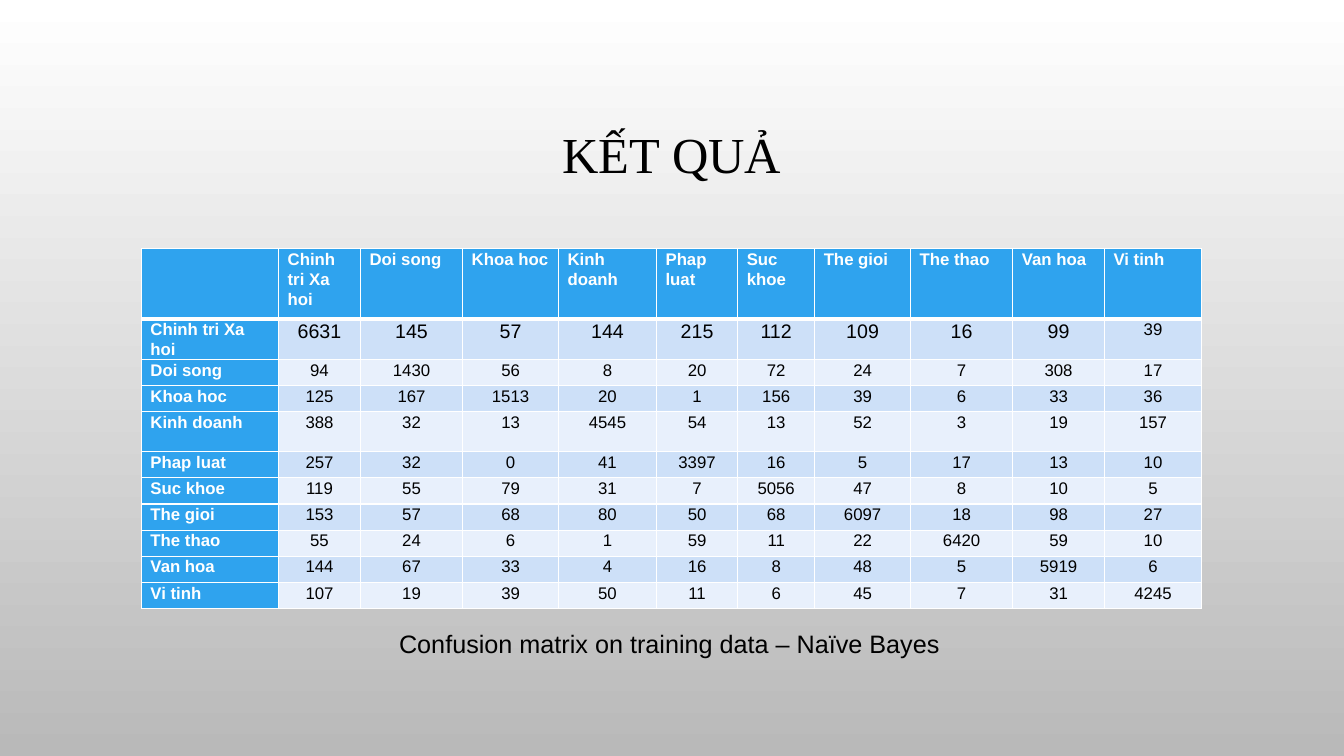
from lxml import etree
from pptx import Presentation
from pptx.dml.color import RGBColor
from pptx.enum import text
from pptx.oxml import ns
from pptx.util import Pt

WHITE, BLACK, BLUE = "FFFFFF", "000000", "2FA3EE"
BANDS = ["CDE0F8", "E8F0FC"]
TOPICS = ["Chinh tri Xa hoi", "Doi song", "Khoa hoc", "Kinh doanh", "Phap luat",
          "Suc khoe", "The gioi", "The thao", "Van hoa", "Vi tinh"]
CONFUSION = [
    [6631, 145, 57, 144, 215, 112, 109, 16, 99, 39],
    [94, 1430, 56, 8, 20, 72, 24, 7, 308, 17],
    [125, 167, 1513, 20, 1, 156, 39, 6, 33, 36],
    [388, 32, 13, 4545, 54, 13, 52, 3, 19, 157],
    [257, 32, 0, 41, 3397, 16, 5, 17, 13, 10],
    [119, 55, 79, 31, 7, 5056, 47, 8, 10, 5],
    [153, 57, 68, 80, 50, 68, 6097, 18, 98, 27],
    [55, 24, 6, 1, 59, 11, 22, 6420, 59, 10],
    [144, 67, 33, 4, 16, 8, 48, 5, 5919, 6],
    [107, 19, 39, 50, 11, 6, 45, 7, 31, 4245],
]
COLUMN_WIDTHS = [98, 58.5, 73, 68.5, 70, 58, 55, 68.5, 73, 65.5, 69.5]
ROW_HEIGHTS = [50.5, 28.5, 18.7, 18.7, 28.5] + [18.7] * 6


def color(value):
    return RGBColor.from_string(value)


def add_run(paragraph, words, size, hue, font="Arial", bold=False):
    run = paragraph.add_run()
    run.text = words
    run.font.size, run.font.name, run.font.bold = Pt(size), font, bold
    run.font.color.rgb = color(hue)


def set_border(cell, side, width):
    line = etree.SubElement(cell._tc.get_or_add_tcPr(), ns.qn(f"a:ln{side}"), w=str(Pt(width)))
    fill = etree.SubElement(line, ns.qn("a:solidFill"))
    etree.SubElement(fill, ns.qn("a:srgbClr"), val=WHITE)


def paint_background(slide):
    fill = slide.background.fill
    fill.gradient()
    fill.gradient_angle = 270
    for stop, position, hue in zip(fill.gradient_stops, (0, 1), (WHITE, "B9B9B9")):
        stop.position, stop.color.rgb = position, color(hue)


def place_title(slide, left, top, width, height):
    title = slide.shapes.title
    title.left, title.top, title.width, title.height = map(Pt, (left, top, width, height))
    title.text_frame.vertical_anchor = text.MSO_ANCHOR.MIDDLE
    paragraph = title.text_frame.paragraphs[0]
    paragraph.alignment = text.PP_ALIGN.CENTER
    paragraph.line_spacing = 0.9
    add_run(paragraph, "KẾT QUẢ", 36, BLACK, "Times New Roman")


def fill_cell(cell, row, column, value):
    is_label = row == 0 or column == 0
    cell.margin_left = cell.margin_right = Pt(6.5)
    cell.margin_top = cell.margin_bottom = 0
    for side in "LRTB":
        edge = (row == 0 and side == "B") or (row == 1 and side == "T")
        set_border(cell, side, 3 if edge else 1)
    cell.fill.solid()
    cell.fill.fore_color.rgb = color(BLUE if is_label else BANDS[(row - 1) % 2])
    if value == "":
        return
    paragraph = cell.text_frame.paragraphs[0]
    paragraph.line_spacing = 1.07
    if is_label:
        add_run(paragraph, value, 12, WHITE, bold=True)
    else:
        paragraph.alignment = text.PP_ALIGN.CENTER
        large = row == 1 and column < len(TOPICS)
        add_run(paragraph, str(value), 14 if large else 12, BLACK)


def add_matrix(slide, left, top):
    rows = [[""] + TOPICS] + [[topic] + counts for topic, counts in zip(TOPICS, CONFUSION)]
    table = slide.shapes.add_table(len(rows), len(rows[0]), Pt(left), Pt(top),
                                   Pt(sum(COLUMN_WIDTHS)), Pt(sum(ROW_HEIGHTS))).table
    for column, width in zip(table.columns, COLUMN_WIDTHS):
        column.width = Pt(width)
    for row, height in zip(table.rows, ROW_HEIGHTS):
        row.height = Pt(height)
    for row, values in enumerate(rows):
        for column, value in enumerate(values):
            fill_cell(table.cell(row, column), row, column, value)


def add_caption(slide, left, top, width, height):
    frame = slide.shapes.add_textbox(Pt(left), Pt(top), Pt(width), Pt(height)).text_frame
    frame.word_wrap = False
    frame.auto_size = text.MSO_AUTO_SIZE.SHAPE_TO_FIT_TEXT
    add_run(frame.paragraphs[0], "Confusion matrix on training data – Naïve Bayes", 18, BLACK)


presentation = Presentation()
presentation.slide_width, presentation.slide_height = Pt(960), Pt(540)
slide = presentation.slides.add_slide(presentation.slide_layouts[5])

# Background and heading
paint_background(slide)
place_title(slide, 72, 49, 816, 126)

# Confusion matrix with its caption
add_matrix(slide, 101, 177.5)
add_caption(slide, 278, 445, 404.5, 29)

presentation.save("out.pptx")
